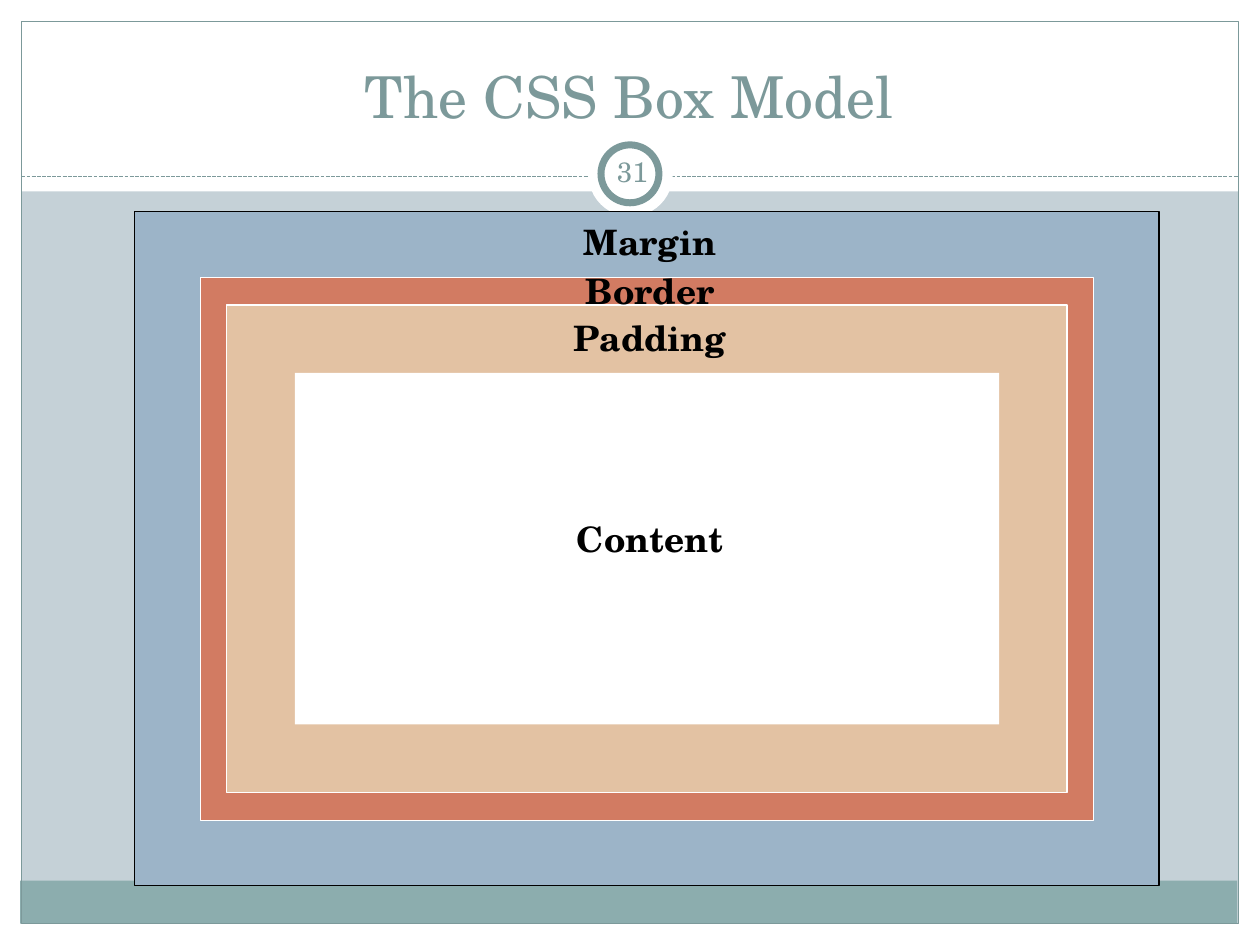
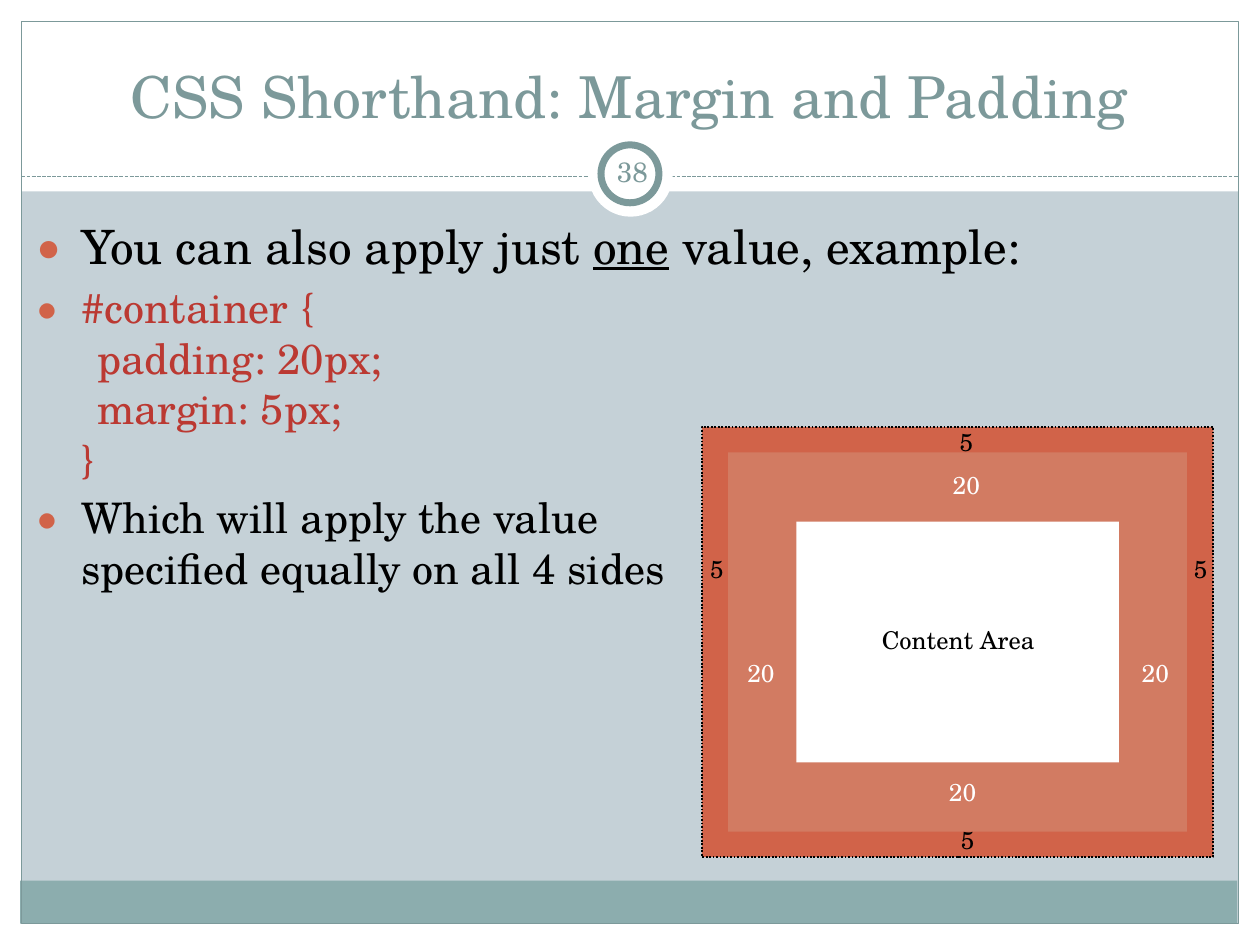
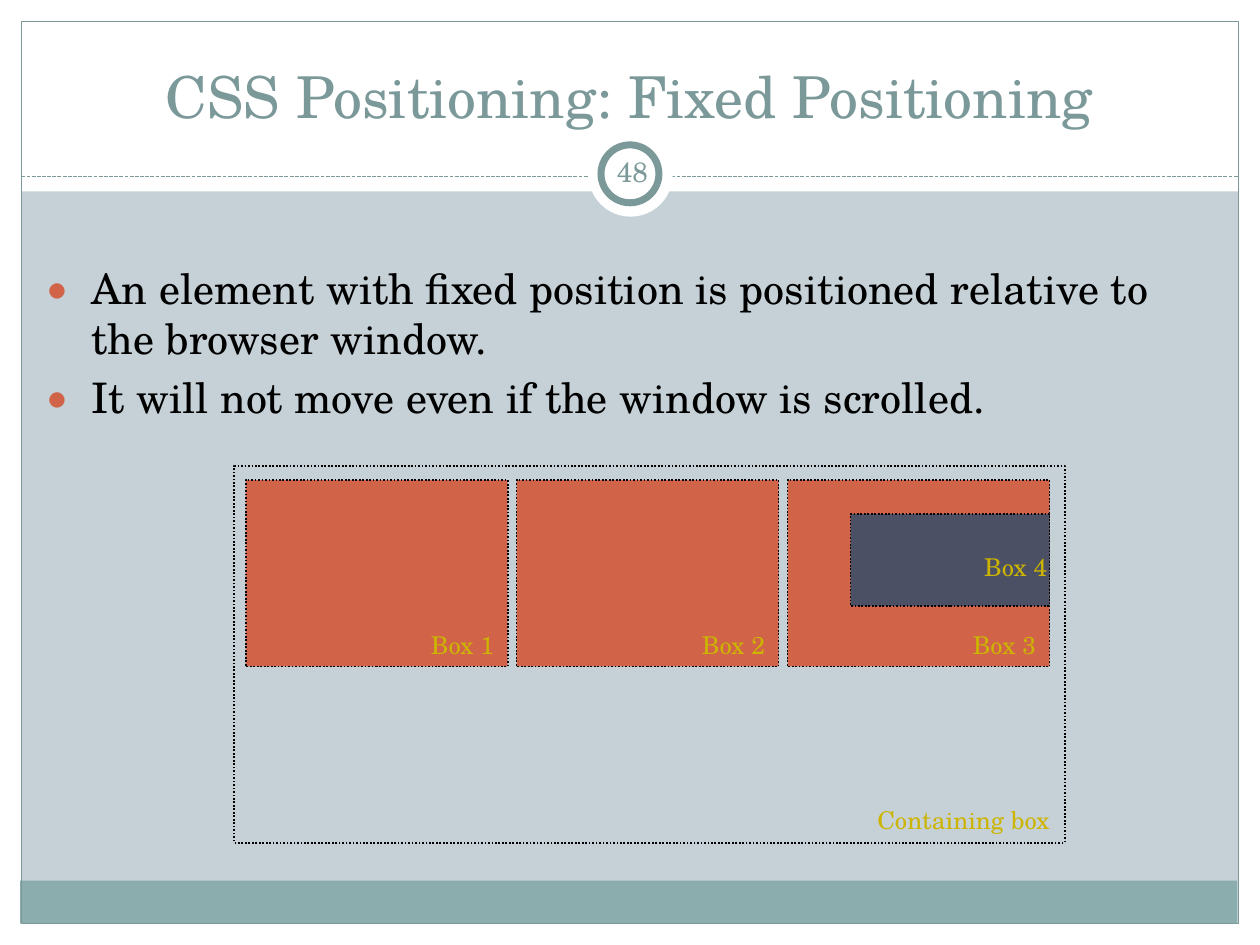
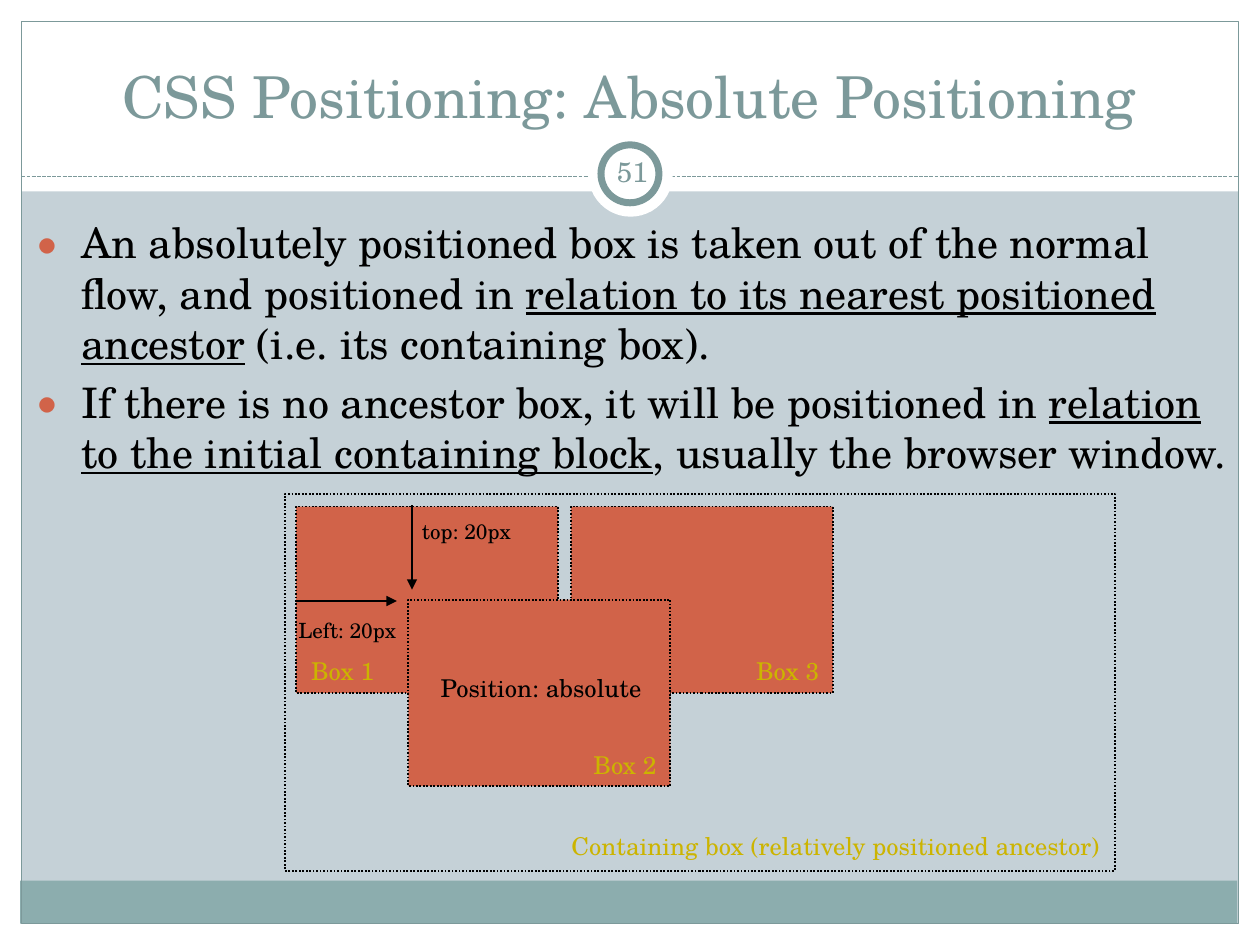
from copy import deepcopy
from itertools import accumulate

from lxml import etree
from pptx import Presentation
from pptx.dml.color import RGBColor
from pptx.enum import dml, shapes, text
from pptx.oxml.ns import qn
from pptx.util import Pt

PX = 9144  # 100 px to the inch
FONT = "TeX Gyre Schola"
HEX = {
    "back": "C5D1D7", "white": "FFFFFF", "black": "000000",
    "teal": "7C999A", "band": "8CADAE", "red": "D16349",
    "rust": "D27B62", "sand": "E3C2A3", "blue": "9CB4C8",
    "navy": "4B5064", "gold": "CCB400", "code": "BB3932",
}
KIND = shapes.MSO_SHAPE
DASH = dml.MSO_LINE
FIT = text.MSO_AUTO_SIZE
ANCHOR = text.MSO_ANCHOR
LEFT, MID, RIGHT = (getattr(text.PP_ALIGN, side) for side in ("LEFT", "CENTER", "RIGHT"))
DOTS = {"line": "black", "width": 1, "dash": DASH.ROUND_DOT}
TILE = (208, 148)


def rgb(name):
    return RGBColor.from_string(HEX[name])


def emu(*sizes):
    return [size * PX for size in sizes]


def put(thing, **values):
    for name, value in values.items():
        setattr(thing, name, value)


def shift(box, x, y, w, h):
    """Turn a place inside the box into a place on the slide."""
    return box[0] + x, box[1] + y, w, h


def inset(box, step):
    x, y, w, h = box
    dx, dy = step
    return x + dx, y + dy, w - 2 * dx, h - 2 * dy


def stroke(line, ink, width, dash=None):
    line.color.rgb = rgb(ink)
    line.width = Pt(width)
    if dash:
        line.dash_style = dash


def block(slide, at, fill=None, line=None, width=0.75, dash=None, kind=KIND.RECTANGLE):
    shape = slide.shapes.add_shape(kind, *emu(*at))
    shape.shadow.inherit = False
    if fill:
        shape.fill.solid()
        shape.fill.fore_color.rgb = rgb(fill)
    else:
        shape.fill.background()
    if line:
        stroke(shape.line, line, width, dash)
    else:
        shape.line.fill.background()
    return shape


def rule(slide, start, end, ink="black", dash=None, arrow=False):
    line = slide.shapes.add_connector(shapes.MSO_CONNECTOR.STRAIGHT, *emu(*start, *end))
    stroke(line.line, ink, 0.75, dash)
    if arrow:
        ends = line.line._get_or_add_ln()
        etree.SubElement(ends, qn("a:tailEnd"), type="triangle")
    etree.SubElement(line.element.spPr, qn("a:effectLst"))
    return line


def style(run, size, ink, **more):
    put(run.font, name=FONT, size=Pt(size), **more)
    run.font.color.rgb = rgb(ink)


def label(slide, at, words, size=14, ink="black", align=MID, **more):
    frame = slide.shapes.add_textbox(*emu(*at)).text_frame
    put(frame, word_wrap=True, auto_size=FIT.SHAPE_TO_FIT_TEXT)
    para = frame.paragraphs[0]
    para.alignment = align
    run = para.add_run()
    run.text = words
    style(run, size, ink, **more)
    return frame


def place(holder, at, anchor):
    put(holder, **dict(zip(("left", "top", "width", "height"), emu(*at))))
    put(holder.text_frame, word_wrap=True, auto_size=FIT.NONE, vertical_anchor=anchor)
    return holder.text_frame


def theme(deck, slide):
    """Draw the shared frame, then move it to the master."""
    master = deck.slide_master
    master.background.fill.solid()
    master.background.fill.fore_color.rgb = rgb("back")
    edges = [(0, 733, 1000, 17), (0, 0, 1000, 152), (0, 0, 17, 750), (983, 0, 17, 750)]
    parts = [block(slide, edge, "white") for edge in edges]
    parts += [
        block(slide, (16, 699, 966, 34), "band"),
        block(slide, (17, 17, 966, 716), line="teal"),
        rule(slide, (17, 140), (983, 140), "teal", DASH.SQUARE_DOT),
        block(slide, (467, 105, 67, 67), "white", kind=KIND.OVAL),
        block(slide, (477, 115, 46, 46), "white", "teal", 4, kind=KIND.OVAL),
    ]
    for code, part in enumerate(parts, 20):
        part.element.xpath(".//p:cNvPr")[0].set("id", str(code))
        master.shapes.element.append(part.element)


def head(slide, title, number):
    frame = place(slide.shapes.title, (33, 25, 933, 83), ANCHOR.BOTTOM)
    para = frame.paragraphs[0]
    para.alignment = MID
    run = para.add_run()
    run.text = title
    style(run, 33, "teal")
    badge = label(slide, (477, 112, 50, 48), number, 16, "teal")
    put(badge, auto_size=FIT.NONE, vertical_anchor=ANCHOR.MIDDLE)
    put(badge, **{f"margin_{side}": 5 * PX for side in ("left", "right", "top", "bottom")})


def bullet(para):
    props = para._p.get_or_add_pPr()
    put(props, marL=30 * PX, indent=-30 * PX)
    tint = etree.SubElement(props, qn("a:buClr"))
    etree.SubElement(tint, qn("a:srgbClr"), val=HEX["red"])
    etree.SubElement(props, qn("a:buSzPct"), val="85000")
    etree.SubElement(props, qn("a:buFont"), typeface=FONT)
    etree.SubElement(props, qn("a:buChar"), char="●")


def points(slide, at, items):
    """Fill the body; words between underscores are underlined."""
    frame = place(slide.placeholders[1], at, ANCHOR.TOP)
    for index, (words, size, ink) in enumerate(items):
        para = frame.add_paragraph() if index else frame.paragraphs[0]
        bullet(para)
        for turn, piece in enumerate(words.split("_")):
            for row, part in enumerate(piece.split("\n")):
                if row:
                    para.add_line_break()
                run = para.add_run()
                run.text = part
                style(run, size, ink, underline=turn % 2 == 1)
        for gap in para._p.findall(qn("a:br")):
            gap.append(deepcopy(para.runs[0].font._rPr))


def nest(slide, box, steps, looks):
    """Draw boxes inside each other, each one step further in."""
    for at, look in zip(accumulate(steps, inset, initial=box), looks):
        block(slide, at, **look)


def layers(slide, box):
    rim = {"line": "white"}
    nest(slide, box, [(52, 52), (21, 22), (54, 54)], [
        {"fill": "blue", "line": "black"}, {"fill": "rust", **rim},
        {"fill": "sand", **rim}, {"fill": "white"},
    ])
    for y, words in [(238, "Content"), (78, "Padding"), (41, "Border"), (2, "Margin")]:
        label(slide, shift(box, 313, y, 192, 43), words, 20, bold=True)


def sides(slide, box):
    nest(slide, box, [(21, 20), (54, 55)],
         [{"fill": "red", **DOTS}, {"fill": "rust"}, {"fill": "white"}])
    label(slide, shift(box, 86, 152, 235, 33), "Content Area")
    rings = [
        ("5", "black", [(164, 311), (-35, 96), (349, 96), (163, -5)]),
        ("20", "white", [(0, 178), (313, 178), (160, 273), (163, 29)]),
    ]
    for value, ink, spots in rings:
        for spot in spots:
            label(slide, shift(box, *spot, 94, 33), value, ink=ink)


def tile(slide, at, name, align=RIGHT):
    block(slide, at, "red", **DOTS)
    label(slide, shift(at, 2, 114, 205, 33), name, ink="gold", align=align)


def fixed(slide, box):
    block(slide, box, **DOTS)
    for index in range(3):
        tile(slide, shift(box, 9 + 215 * index, 11, *TILE), f"Box {index + 1}")
    label(slide, shift(box, 452, 264, 205, 33), "Containing box", ink="gold", align=RIGHT)
    block(slide, shift(box, 489, 38, 158, 73), "navy", **DOTS)
    label(slide, shift(box, 450, 63, 205, 34), "Box 4", ink="gold", align=RIGHT)


def absolute(slide, box):
    block(slide, box, **DOTS)
    tile(slide, shift(box, 9, 10, *TILE), "Box 1", LEFT)
    tile(slide, shift(box, 227, 10, *TILE), "Box 3")
    for x, y, words in [(1, 93, "Left: 20px"), (99, 15, "top: 20px")]:
        label(slide, shift(box, x, y, 111, 30), words, 12, align=LEFT)
    tile(slide, shift(box, 98, 84, *TILE), "Box 2")
    label(slide, shift(box, 101, 137, 205, 33), "Position: absolute")
    label(slide, shift(box, 1, 263, 656, 33),
          "Containing box (relatively positioned ancestor)", ink="gold", align=RIGHT)
    x, y = box[:2]
    for start, end in [((101, 9), (101, 76)), ((8, 85), (89, 85))]:
        rule(slide, (x + start[0], y + start[1]), (x + end[0], y + end[1]), arrow=True)


PAGES = [
    ("The CSS Box Model", "31", None, [], layers, (107, 168, 813, 535)),
    ("CSS Shorthand: Margin and Padding", "38", (17, 167, 950, 365), [
        ("You can also apply just _one_ value, example:", 27, "black"),
        ("#container {\n\tpadding: 20px;\n\tmargin: 5px;\n}", 24, "code"),
        ("Which will apply the value \nspecified equally on all 4 sides", 24, "black"),
    ], sides, (557, 339, 406, 341)),
    ("CSS Positioning: Fixed Positioning", "48", (25, 203, 950, 197), [
        ("An element with fixed position is positioned relative to the browser window.",
         24, "black"),
        ("It will not move even if the window is scrolled.", 24, "black"),
    ], fixed, (186, 370, 659, 299)),
    ("CSS Positioning: Absolute Positioning", "51", (17, 167, 967, 250), [
        ("An absolutely positioned box is taken out of the normal flow, and positioned in "
         "_relation to its nearest positioned ancestor_ (i.e. its containing box).",
         24, "black"),
        ("If there is no ancestor box, it will be positioned in "
         "_relation to the initial containing block_, usually the browser window.",
         24, "black"),
    ], absolute, (226, 392, 659, 299)),
]


def main():
    deck = Presentation()
    put(deck, slide_width=1000 * PX, slide_height=750 * PX)
    for index, (title, number, at, items, draw, box) in enumerate(PAGES):
        slide = deck.slides.add_slide(deck.slide_layouts[1 if items else 5])
        if index == 0:
            theme(deck, slide)
        head(slide, title, number)
        if items:
            points(slide, at, items)
        draw(slide, box)
    deck.save("out.pptx")


if __name__ == "__main__":
    main()
